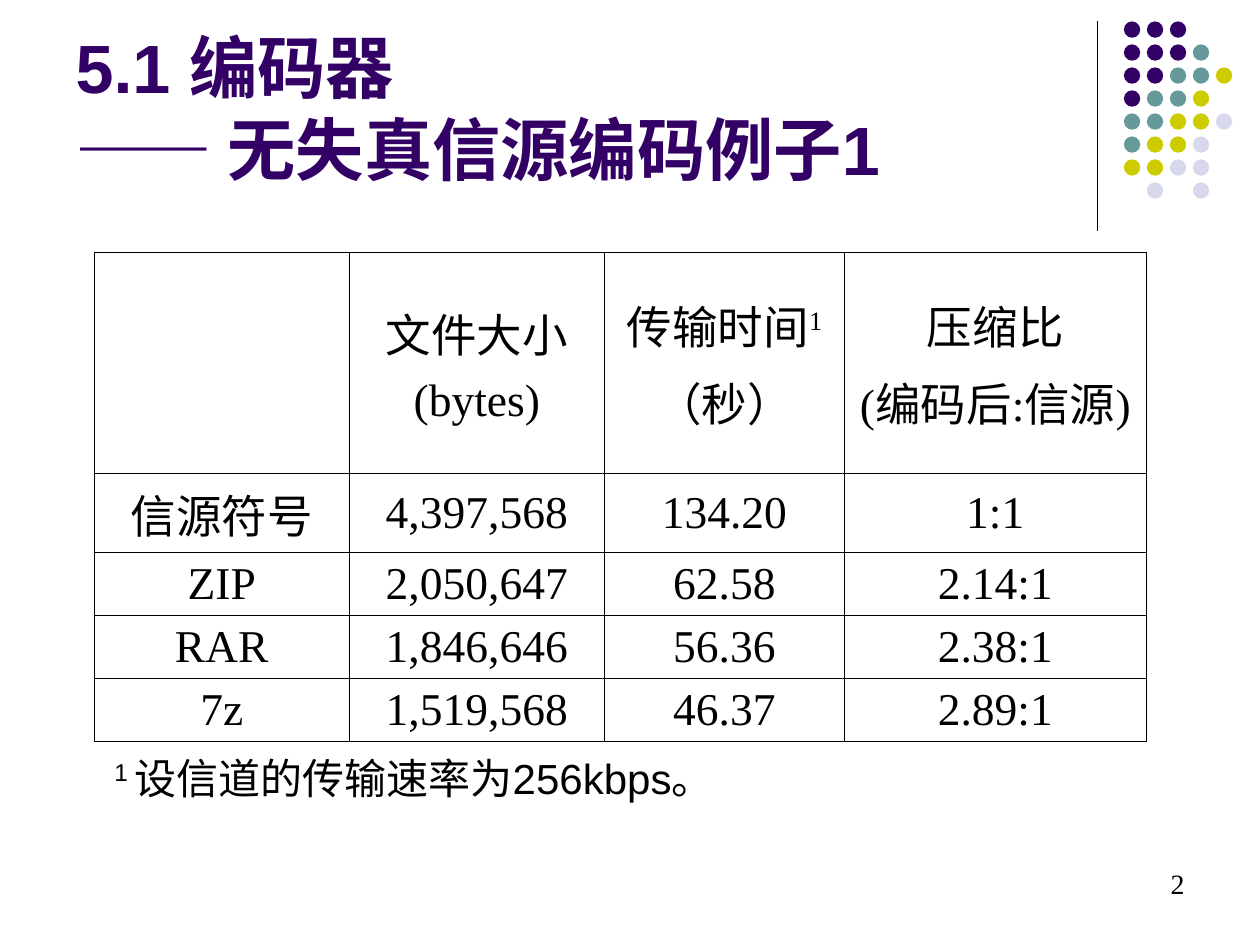
"""Build the slide on lossless source coding, with its comparison table."""
from dataclasses import dataclass

from lxml.etree import SubElement
from pptx import Presentation
from pptx.dml.color import RGBColor
from pptx.enum.shapes import MSO_CONNECTOR, MSO_SHAPE
from pptx.enum.text import MSO_ANCHOR, MSO_AUTO_SIZE, PP_ALIGN
from pptx.oxml.ns import qn
from pptx.util import Inches, Pt


@dataclass(frozen=True)
class Theme:
    ink: str = "000000"
    purple: str = "330066"
    teal: str = "669999"
    olive: str = "CCCC00"
    lavender: str = "D8D8EC"
    sans: str = "Arial"
    serif: str = "Times New Roman"
    title: float = 39
    cell: float = 26
    note: float = 24
    number: float = 16


THEME = Theme()
TITLE = "5.1 编码器\n—— 无失真信源编码例子1"
HEADER = [
    [],
    [["文件大小"], ["(bytes)"]],
    [["传输时间", "1"], ["（秒）"]],
    [["压缩比"], ["(编码后:信源)"]],
]
RESULTS = [
    ("信源符号", "4,397,568", "134.20", "1:1"),
    ("ZIP", "2,050,647", "62.58", "2.14:1"),
    ("RAR", "1,846,646", "56.36", "2.38:1"),
    ("7z", "1,519,568", "46.37", "2.89:1"),
]
COLUMN_WIDTHS = [2.02, 2.03, 1.9, 2.4]
ROW_HEIGHTS = [1.76, 0.62, 0.5, 0.5, 0.5]
NOTE = ["1 ", "设信道的传输速率为256kbps。"]
PAGE_NUMBER = "2"
DOTS = ["PPP", "PPPT", "PPTTO", "PTTO", "TTOOL", "TOOL", "OOLL", " L L"]
DOT_COLOURS = {"P": THEME.purple, "T": THEME.teal, "O": THEME.olive, "L": THEME.lavender}
DOT_LEFT, DOT_TOP, DOT_SIZE, DOT_PITCH = 8.92, 0.17, 0.13, 0.73 / 4


def style(paragraph, size, face, colour=THEME.ink, bold=False):
    font = paragraph.font
    font.size, font.name, font.bold = Pt(size), face, bold
    font.color.rgb = RGBColor.from_string(colour)


def add_spans(paragraph, texts):
    for text in texts:
        span = paragraph.add_run()
        span.text = text
        if text.strip() == "1":
            span.font._element.set("baseline", "30000")


def add_title(page):
    title = page.shapes.title
    title.left, title.top, title.width, title.height = map(Inches, (0.5, 0.13, 8.25, 1.42))
    frame = title.text_frame
    frame.auto_size, frame.vertical_anchor = MSO_AUTO_SIZE.NONE, MSO_ANCHOR.BOTTOM
    paragraph = frame.paragraphs[0]
    paragraph.text = TITLE
    paragraph.alignment = PP_ALIGN.LEFT
    style(paragraph, THEME.title, THEME.sans, THEME.purple, True)


def add_decoration(page):
    line = page.shapes.add_connector(
        MSO_CONNECTOR.STRAIGHT, *map(Inches, (8.71, 0.17, 8.71, 1.83)))
    line.line.color.rgb = RGBColor.from_string(THEME.ink)
    line.line.width = Pt(0.75)
    SubElement(line._element.spPr, qn("a:effectLst"))
    group = page.shapes.add_group_shape()
    for row, pattern in enumerate(DOTS):
        for column, key in enumerate(pattern):
            if key == " ":
                continue
            dot = group.shapes.add_shape(
                MSO_SHAPE.OVAL, Inches(DOT_LEFT + column * DOT_PITCH),
                Inches(DOT_TOP + row * DOT_PITCH), Inches(DOT_SIZE), Inches(DOT_SIZE))
            dot.shadow.inherit = False
            dot.fill.solid()
            dot.fill.fore_color.rgb = RGBColor.from_string(DOT_COLOURS[key])
            dot.line.fill.background()


def format_cell(cell, paragraphs):
    cell.vertical_anchor = MSO_ANCHOR.MIDDLE
    frame = cell.text_frame
    for index, texts in enumerate(paragraphs):
        paragraph = frame.add_paragraph() if index else frame.paragraphs[0]
        paragraph.alignment = PP_ALIGN.CENTER
        if index:
            paragraph.space_before = Pt(6.5)
        add_spans(paragraph, texts)
        style(paragraph, THEME.cell, THEME.serif)
    properties = cell._tc.get_or_add_tcPr()
    for side in ("a:lnL", "a:lnR", "a:lnT", "a:lnB"):
        border = SubElement(properties, qn(side), w=str(Pt(0.45)))
        SubElement(SubElement(border, qn("a:solidFill")), qn("a:srgbClr"), val=THEME.ink)
    cell.fill.background()


def add_results(page):
    rows = [HEADER] + [[[[value]] for value in record] for record in RESULTS]
    table = page.shapes.add_table(
        len(rows), len(COLUMN_WIDTHS), Inches(0.75), Inches(2),
        Inches(sum(COLUMN_WIDTHS)), Inches(sum(ROW_HEIGHTS))).table
    table.first_row = table.horz_banding = False
    for column, width in zip(table.columns, COLUMN_WIDTHS):
        column.width = Inches(width)
    for row, height, contents in zip(table.rows, ROW_HEIGHTS, rows):
        row.height = Inches(height)
        for cell, paragraphs in zip(row.cells, contents):
            format_cell(cell, paragraphs)


def add_text(page, place, texts, size, face, alignment=PP_ALIGN.LEFT, wrap=True):
    box = page.shapes.add_textbox(*map(Inches, place))
    box.text_frame.word_wrap = wrap
    paragraph = box.text_frame.paragraphs[0]
    paragraph.alignment = alignment
    add_spans(paragraph, texts)
    style(paragraph, size, face)
    return box


def main():
    deck = Presentation()
    deck.slide_width, deck.slide_height = Inches(10), Inches(7.5)
    page = deck.slides.add_slide(deck.slide_layouts[5])
    add_decoration(page)
    add_title(page)
    add_results(page)
    note = add_text(page, (0.81, 5.92, 5.23, 0.5), NOTE, THEME.note, THEME.sans, wrap=False)
    note.text_frame.auto_size = MSO_AUTO_SIZE.SHAPE_TO_FIT_TEXT
    add_text(page, (7.17, 6.83, 2.33, 0.5), [PAGE_NUMBER],
             THEME.number, THEME.serif, PP_ALIGN.RIGHT)
    deck.save("out.pptx")


if __name__ == "__main__":
    main()
